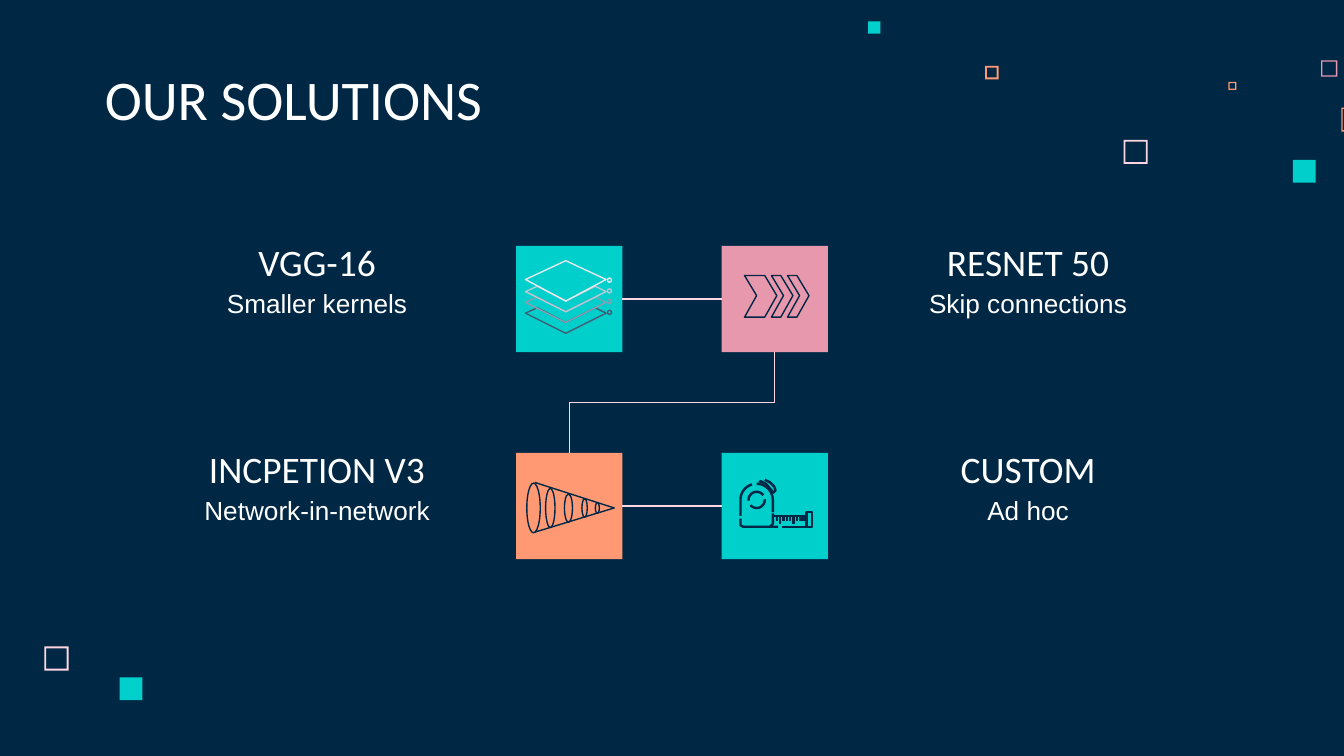
from math import cos, radians, sin

from lxml.etree import SubElement
from pptx import Presentation
from pptx.dml.color import RGBColor
from pptx.enum.shapes import MSO_CONNECTOR as Link, MSO_SHAPE as Preset
from pptx.enum.text import MSO_ANCHOR as Anchor, PP_ALIGN as Align
from pptx.oxml.ns import qn
from pptx.util import Inches, Pt

NAVY, INK, WHITE = "002845", "002745", "FFFFFF"
TEAL, ORANGE, ROSE, BLUSH = "00CFCC", "FF9973", "E898AC", "FFD6E1"
COLUMNS, ROWS, TILE = (3.84, 5.37), (1.83, 3.37), 0.79
LABEL_CENTRES = (2.36, 7.65)
NAME = {"size": Pt(20), "name": "Calibri"}
DETAIL = {"size": Pt(14), "name": "Arial"}
TITLE = {"size": Pt(30), "name": "Calibri"}

# column, row, name, detail, tile colour, label width of the detail
SOLUTIONS = [
    (0, 0, "VGG-16", "Smaller kernels", TEAL, 2.06),
    (1, 0, "RESNET 50", "Skip connections", ROSE, 2.06),
    (0, 1, "INCPETION V3", "Network-in-network", ORANGE, 2.28),
    (1, 1, "CUSTOM", "Ad hoc", TEAL, 2.06),
]
# left, top, size, colour, thickness as a share of the size
FRAMES = [
    (8.36, 1.04, 0.18, BLUSH, 0.08), (9.83, 0.45, 0.12, ROSE, 0.08),
    (9.14, 0.61, 0.06, ORANGE, 0.16), (9.98, 0.8, 0.18, ORANGE, 0.06),
    (7.33, 0.49, 0.1, ORANGE, 0.14), (0.33, 4.81, 0.18, BLUSH, 0.08),
]
SQUARES = [(9.62, 1.19, 0.17), (6.46, 0.16, 0.09), (0.89, 5.04, 0.17)]


def rgb(value):
    return RGBColor.from_string(value)


def paint(shape, fill=None, line=None, width=0.75):
    shape.shadow.inherit = False
    if fill:
        shape.fill.solid()
        shape.fill.fore_color.rgb = rgb(fill)
    else:
        shape.fill.background()
    if line:
        shape.line.color.rgb = rgb(line)
        shape.line.width = Pt(width)
    else:
        shape.line.fill.background()


def add_preset(shapes, preset, left, top, width, height, **colours):
    shape = shapes.add_shape(preset, *map(Inches, (left, top, width, height)))
    paint(shape, **colours)
    return shape


def add_path(shapes, points, line, width=0.75, close=True):
    corners = [(Inches(x), Inches(y)) for x, y in points]
    builder = shapes.build_freeform(*corners[0])
    builder.add_line_segments(corners[1:], close=close)
    paint(builder.convert_to_shape(), line=line, width=width)


def add_link(shapes, kind, start, end, color=BLUSH, width=0.75):
    link = shapes.add_connector(kind, *map(Inches, (*start, *end)))
    link.line.color.rgb = rgb(color)
    link.line.width = Pt(width)
    SubElement(link._element.spPr, qn("a:effectLst"))
    return link


def write(shape, text, font_values, anchor, align):
    frame = shape.text_frame
    margins = dict.fromkeys(
        ("margin_left", "margin_top", "margin_right", "margin_bottom"), Inches(0.1))
    layout = {"word_wrap": True, "vertical_anchor": anchor, **margins}
    for key, value in layout.items():
        setattr(frame, key, value)
    paragraph = frame.paragraphs[0]
    paragraph.alignment = align
    run = paragraph.add_run()
    run.text = text
    for key, value in font_values.items():
        setattr(run.font, key, value)
    run.font.color.rgb = rgb(WHITE)


def add_label(shapes, text, centre, top, width, font_values, anchor):
    box = shapes.add_textbox(*map(Inches, (centre - width / 2, top, width, 0.71)))
    write(box, text, font_values, anchor, Align.CENTER)


def add_title(slide):
    title = slide.shapes.title
    place = {"left": 0.68, "top": 0.45, "width": 6.44, "height": 0.63}
    for key, value in place.items():
        setattr(title, key, Inches(value))
    write(title, "OUR SOLUTIONS", TITLE, Anchor.BOTTOM, Align.LEFT)


def add_decoration(shapes):
    for left, top, size, color, thickness in FRAMES:
        frame = add_preset(shapes, Preset.FRAME, left, top, size, size, fill=color)
        frame.adjustments[0] = thickness
    for left, top, size in SQUARES:
        add_preset(shapes, Preset.RECTANGLE, left, top, size, size, fill=TEAL)


def add_solutions(shapes):
    tiles = {}
    for column, row, name, detail, color, width in SOLUTIONS:
        top, centre = ROWS[row], LABEL_CENTRES[column]
        tiles[column, row] = add_preset(
            shapes, Preset.RECTANGLE, COLUMNS[column], top, TILE, TILE, fill=color)
        add_label(shapes, name, centre, top - 0.33, 2.06, NAME, Anchor.BOTTOM)
        add_label(shapes, detail, centre, top + 0.21, width, DETAIL, Anchor.TOP)
    return tiles


def join_tiles(shapes, tiles):
    for row, kind in enumerate((Link.ELBOW, Link.STRAIGHT)):
        middle = ROWS[row] + TILE / 2
        link = add_link(shapes, kind, (COLUMNS[0] + TILE, middle), (COLUMNS[1], middle))
        link.begin_connect(tiles[0, row], 3)
        link.end_connect(tiles[1, row], 1)
    # The step between rows is an elbow turned by 90 degrees about its centre.
    drop, span = ROWS[1] - ROWS[0] - TILE, COLUMNS[1] - COLUMNS[0]
    x, y = (sum(COLUMNS) + TILE) / 2, (sum(ROWS) + TILE) / 2
    step = add_link(shapes, Link.ELBOW, (x - drop / 2, y - span / 2),
                    (x + drop / 2, y + span / 2))
    step._element.spPr.find(qn("a:xfrm")).set("rot", "5400000")


def add_layers_icon(shapes):
    left, middle, right = 3.91, 4.21, 4.51
    layers = [(2.33, "435D74"), (2.25, "869FB2"), (2.17, "BAC8D3")]
    for y, color in layers:
        add_path(shapes, [(left, y), (4, y - 0.04), (middle, y + 0.07), (4.43, y - 0.04),
                          (right, y), (middle, y + 0.15)], color)
    layers.append((2.09, "E3E9ED"))
    add_path(shapes, [(middle, 1.94), (left, 2.08), (middle, 2.24), (right, 2.08)], "E3E9ED")
    for y, color in layers:
        add_preset(shapes, Preset.OVAL, 4.52, y - 0.02, 0.03, 0.03, line=color)


def add_chevrons_icon(shapes):
    top, middle, bottom = 2.05, 2.2, 2.36
    for x, width in ((5.54, 0.15), (5.74, 0.07), (5.86, 0.07)):
        add_path(shapes, [(x, top), (x + 0.09, middle), (x, bottom), (x + width, bottom),
                          (x + width + 0.09, middle), (x + width, top)], INK)


def add_cone_icon(shapes):
    axis = 3.78
    add_path(shapes, [(3.98, 3.59), (4.57, axis), (3.98, 3.96)], INK, close=False)
    for left, width, height in ((3.92, 0.1, 0.37), (4.06, 0.07, 0.29), (4.2, 0.06, 0.21),
                                (4.33, 0.04, 0.14), (4.43, 0.03, 0.08)):
        add_preset(shapes, Preset.OVAL, left, axis - height / 2, width, height, line=INK)


def arc(x, y, radius, start, end, steps=16):
    """Points on a circle, with angles in degrees clockwise from the right."""
    angles = [radians(start + (end - start) * i / steps) for i in range(steps + 1)]
    return [(x + radius * cos(a), y + radius * sin(a)) for a in angles]


def add_tape_measure_icon(shapes):
    stroke, x, y, base = 1.3, 5.63, 3.72, 3.92
    for points in (
        [(5.51, 3.84), *arc(x, y, 0.12, 180, 253)],
        [*arc(x, y, 0.12, 270, 360), (5.75, 3.81)],
        arc(x, y, 0.06, 175, 325),
        arc(x, y, 0.06, -5, 140),
        [(5.65, 3.59), (5.66, 3.58), (5.7, 3.6), (5.75, 3.66)],
        [(5.69, 3.57), (5.73, 3.59), (5.76, 3.62), (5.77, 3.65), (5.75, 3.67)],
        [(5.51, 3.86), (5.51, 3.91), (5.53, base), (5.79, base)],
        [(5.75, 3.82), (5.75, 3.9), (5.73, base)],
        [(5.82, base), (6.04, base), (6.04, 3.81), (6, 3.81), (6, base)],
    ):
        add_path(shapes, points, INK, stroke, close=False)
    edge = 3.84
    add_link(shapes, Link.STRAIGHT, (5.75, edge), (6, edge), INK, stroke)
    for i in range(9):
        tick = 5.78 + 0.025 * i
        length = 0.06 if i % 4 == 1 else 0.04
        add_link(shapes, Link.STRAIGHT, (tick, edge), (tick, edge + length), INK, stroke)


def main():
    deck = Presentation()
    deck.slide_width = Inches(10)
    deck.slide_height = deck.slide_width * 9 // 16
    slide = deck.slides.add_slide(deck.slide_layouts[5])
    slide.background.fill.solid()
    slide.background.fill.fore_color.rgb = rgb(NAVY)
    add_decoration(slide.shapes)
    add_title(slide)
    tiles = add_solutions(slide.shapes)
    join_tiles(slide.shapes, tiles)
    for add_icon in (add_tape_measure_icon, add_cone_icon, add_chevrons_icon, add_layers_icon):
        add_icon(slide.shapes.add_group_shape().shapes)
    deck.save("out.pptx")


if __name__ == "__main__":
    main()
